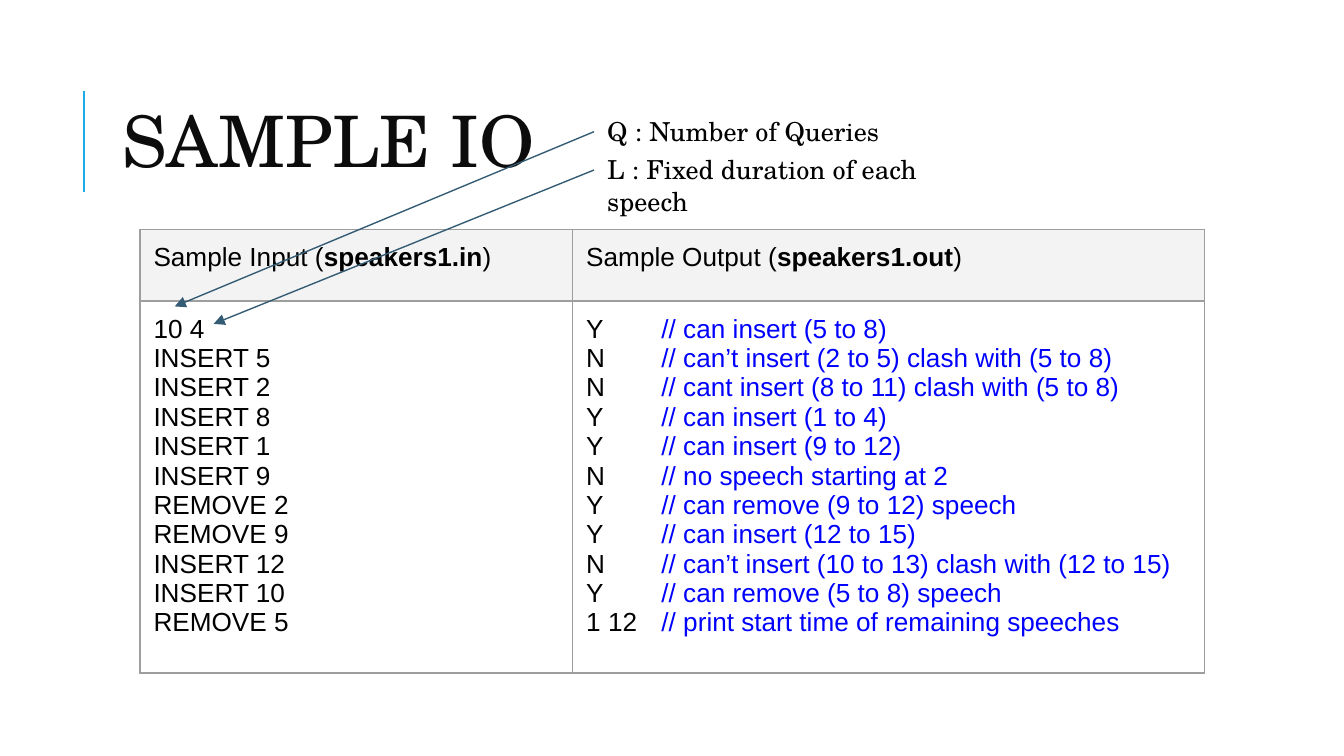
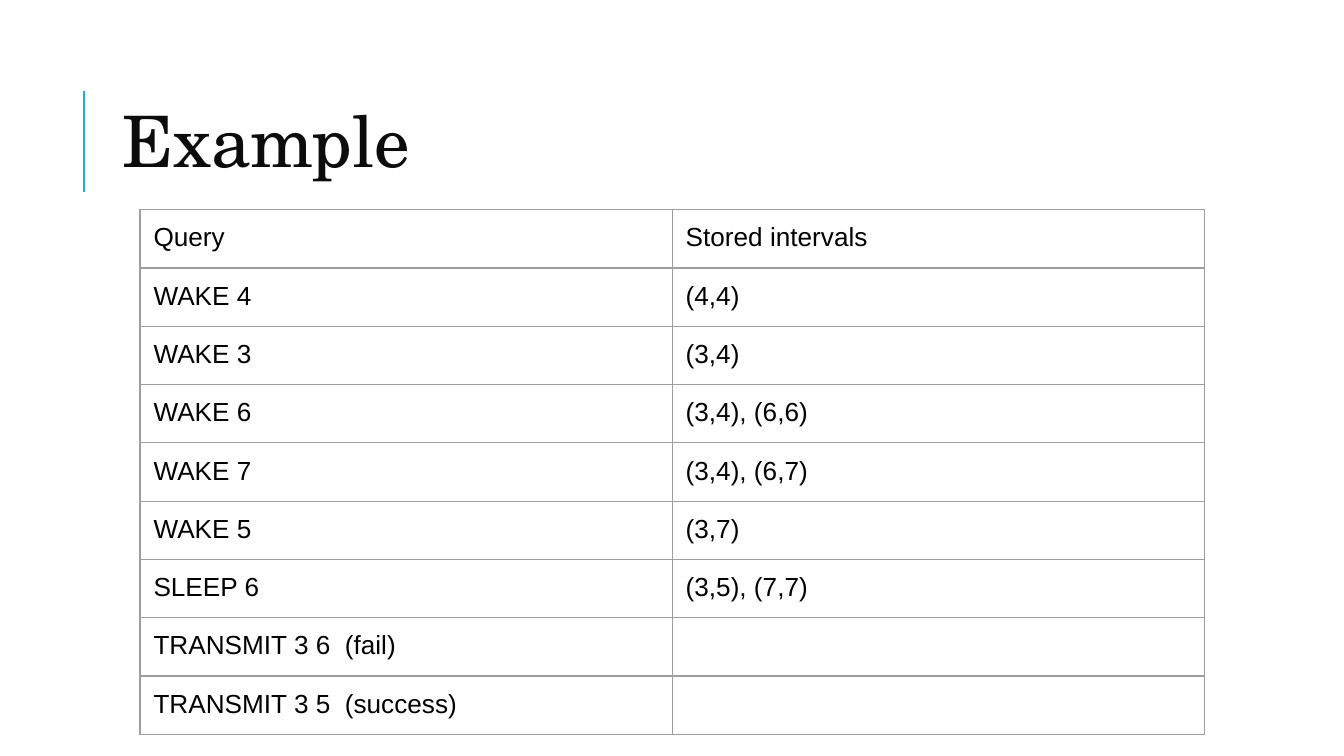
from lxml import etree
from pptx import Presentation
from pptx import util as u
from pptx.dml import color
from pptx.enum import shapes, text
from pptx.oxml import ns

# Shared style
COLORS = {
    "accent": "1CADE4",
    "title": "0C0C0C",
    "body": "000000",
    "comment": "0000FF",
    "border": "9E9E9E",
    "header": "F3F3F3",
    "arrow": "335B74",
}
SERIF, SANS = "TeX Gyre Schola", "Arial"
BODY_SIZE, TITLE_SIZE = 14, 38
CELL_INSETS = (0.1, 0.1, 0.1, 0.1)
TITLE_INSETS = (0.07, 0.04, 0.07, 0.04)
COMMENT_TAB = 0.56

# The 16:9 slide is a grid of 100 columns by 56.25 rows
COLUMNS, ROWS = 100, 56.25
SLIDE_WIDTH = u.Inches(10)
SLIDE_HEIGHT = SLIDE_WIDTH * 9 // 16
TITLE_BOX = (8.4, 4.8, 79.7, 12.3)
TABLE_LEFT, TABLE_WIDTH = 10.42, 79.2

SAMPLE_INPUT = ["10 4", "INSERT 5", "INSERT 2", "INSERT 8", "INSERT 1", "INSERT 9",
                "REMOVE 2", "REMOVE 9", "INSERT 12", "INSERT 10", "REMOVE 5"]
SAMPLE_OUTPUT = [
    ("Y", "can insert (5 to 8)"),
    ("N", "can’t insert (2 to 5) clash with (5 to 8)"),
    ("N", "cant insert (8 to 11) clash with (5 to 8)"),
    ("Y", "can insert (1 to 4)"),
    ("Y", "can insert (9 to 12)"),
    ("N", "no speech starting at 2"),
    ("Y", "can remove (9 to 12) speech"),
    ("Y", "can insert (12 to 15)"),
    ("N", "can’t insert (10 to 13) clash with (12 to 15)"),
    ("Y", "can remove (5 to 8) speech"),
    ("1 12", "print start time of remaining speeches"),
]
EXAMPLE_ROWS = [
    ("Query", "Stored intervals"),
    ("WAKE 4", "(4,4)"),
    ("WAKE 3", "(3,4)"),
    ("WAKE 6", "(3,4), (6,6)"),
    ("WAKE 7", "(3,4), (6,7)"),
    ("WAKE 5", "(3,7)"),
    ("SLEEP 6", "(3,5), (7,7)"),
    ("TRANSMIT 3 6  (fail)", ""),
    ("TRANSMIT 3 5  (success)", ""),
]


def across(columns):
    return round(SLIDE_WIDTH * columns / COLUMNS)


def down(rows):
    return round(SLIDE_HEIGHT * rows / ROWS)


def rgb(name):
    return color.RGBColor.from_string(COLORS[name])


def set_insets(holder, insets):
    sides = ("margin_left", "margin_top", "margin_right", "margin_bottom")
    for side, inset in zip(sides, insets):
        setattr(holder, side, u.Inches(inset))


def write(frame, lines, font=SANS, size=BODY_SIZE, ink="body"):
    """Each line is a string or a list of (words, colour, bold) spans."""
    for index, line in enumerate(lines):
        para = frame.paragraphs[0] if index == 0 else frame.add_paragraph()
        spans = [(line, ink, False)] if isinstance(line, str) else line
        for words, span_ink, bold in spans:
            span = para.add_run()
            span.text = words
            span.font.name = font
            span.font.size = u.Pt(size)
            span.font.bold = bold
            span.font.color.rgb = rgb(span_ink)


def add_label(page, box, words, insets=CELL_INSETS, **style):
    left, top, width, height = box
    label = page.shapes.add_textbox(across(left), down(top), across(width), down(height))
    frame = label.text_frame
    frame.word_wrap = True
    set_insets(frame, insets)
    write(frame, [words], font=SERIF, **style)
    return frame


def add_line(page, start, end, ink, weight, arrow=False):
    line = page.shapes.add_connector(
        shapes.MSO_CONNECTOR.STRAIGHT,
        across(start[0]), down(start[1]), across(end[0]), down(end[1]))
    line.line.color.rgb = rgb(ink)
    line.line.width = u.Pt(weight)
    if arrow:
        outline = line.line._get_or_add_ln()
        etree.SubElement(outline, ns.qn("a:tailEnd"), type="triangle")
    etree.SubElement(line._element.spPr, ns.qn("a:effectLst"))


def add_heading(page, box, words):
    left, top, width, height = box
    bar = left - 2.15
    add_line(page, (bar, top + 9.5), (bar, top + 2), "accent", 1.5)
    frame = add_label(page, box, words, TITLE_INSETS, size=TITLE_SIZE, ink="title")
    frame.vertical_anchor = text.MSO_ANCHOR.MIDDLE
    frame.paragraphs[0].line_spacing = 0.8


def add_borders(cell):
    properties = cell._tc.get_or_add_tcPr()
    for index, side in enumerate(("lnL", "lnR", "lnT", "lnB")):
        edge = etree.Element(ns.qn("a:" + side), w=str(u.Pt(0.75)))
        fill = etree.SubElement(edge, ns.qn("a:solidFill"))
        etree.SubElement(fill, ns.qn("a:srgbClr"), val=COLORS["border"])
        properties.insert(index, edge)


def add_grid(page, top, height, widths, row_heights, contents, header_fill=False):
    """Contents hold, row by row, the list of lines in each cell."""
    holder = page.shapes.add_table(
        len(row_heights), len(widths), across(TABLE_LEFT), down(top),
        across(sum(widths)), down(height))
    grid = holder.table
    grid.first_row = grid.horz_banding = False
    for column, width in zip(grid.columns, widths):
        column.width = across(width)
    for row_index, (row, row_height) in enumerate(zip(grid.rows, row_heights)):
        row.height = down(row_height)
        for cell, lines in zip(row.cells, contents[row_index]):
            if header_fill and row_index == 0:
                cell.fill.solid()
                cell.fill.fore_color.rgb = rgb("header")
            else:
                cell.fill.background()
            add_borders(cell)
            if any(lines):
                set_insets(cell, CELL_INSETS)
                write(cell.text_frame, lines)
    # Rows grow with their text, so the frame is taller than their minimum
    holder.height = down(height)
    return grid


def align_comments(cell):
    for para in cell.text_frame.paragraphs:
        stops = etree.SubElement(para._p.get_or_add_pPr(), ns.qn("a:tabLst"))
        etree.SubElement(stops, ns.qn("a:tab"),
                         pos=str(u.Inches(COMMENT_TAB)), algn="l")


def add_callout(page, box, words, target):
    left, top = box[:2]
    add_line(page, (left, top + 2.2), target, "arrow", 0.75, arrow=True)
    add_label(page, box, words)


def file_header(kind, name):
    return [[(f"Sample {kind} (", "body", False), (name, "body", True), (")", "body", False)]]


def sample_slide(page):
    add_heading(page, TITLE_BOX, "SAMPLE IO")
    # Input and output files
    output = [[(answer + "\t", "body", False), ("// " + reason, "comment", False)]
              for answer, reason in SAMPLE_OUTPUT]
    contents = [
        [file_header("Input", "speakers1.in"), file_header("Output", "speakers1.out")],
        [SAMPLE_INPUT, output],
    ]
    grid = add_grid(page, 17.1, 32.9, [32.2, TABLE_WIDTH - 32.2], [5.3, 7.6], contents,
                    header_fill=True)
    align_comments(grid.cell(1, 1))
    # Meaning of the two numbers on the first input line
    add_callout(page, (44.2, 10.45, 30.3, 4.3), "L : Fixed duration of each speech", (15.9, 24.1))
    add_callout(page, (44.2, 7.6, 23.7, 4.3), "Q : Number of Queries", (13, 22.8))


def example_slide(page):
    add_heading(page, TITLE_BOX, "Example")
    # Queries and the intervals kept after each
    contents = [[[words] for words in row] for row in EXAMPLE_ROWS]
    add_grid(page, 15.6, 39, [TABLE_WIDTH / 2] * 2, [4.17] * len(contents), contents)


def main():
    deck = Presentation()
    deck.slide_width, deck.slide_height = SLIDE_WIDTH, SLIDE_HEIGHT
    blank = deck.slide_layouts[6]
    for build in (sample_slide, example_slide):
        build(deck.slides.add_slide(blank))
    deck.save("out.pptx")


if __name__ == "__main__":
    main()
